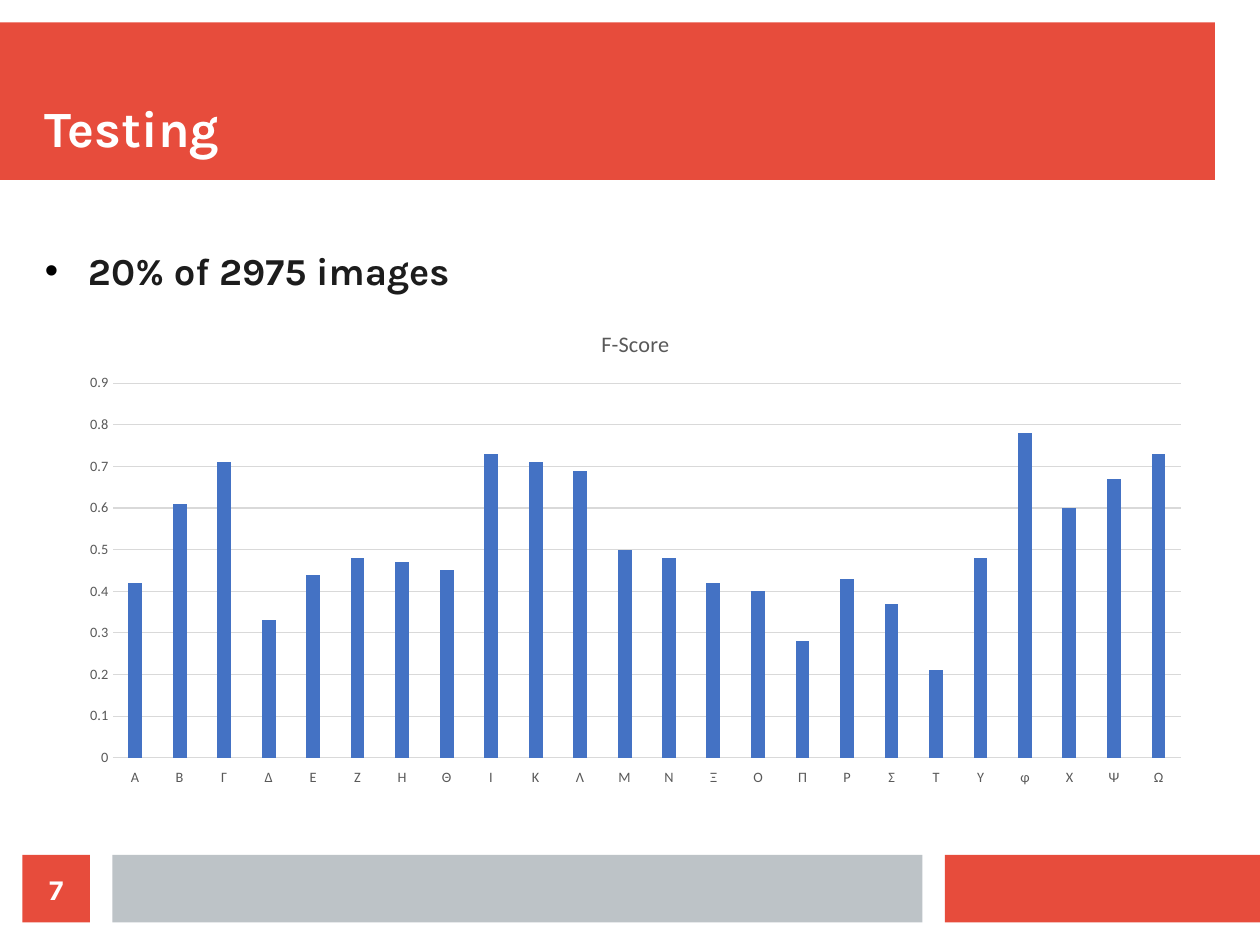
"""Build the Testing slide with its F-Score column chart."""
from dataclasses import dataclass

import lxml.etree
import pptx
import pptx.chart.data
import pptx.dml.color
import pptx.enum.chart
import pptx.enum.shapes
import pptx.enum.text
import pptx.oxml.ns
import pptx.util

EMU_PER_PX = 4000
RED = pptx.dml.color.RGBColor(0xE7, 0x4C, 0x3C)
SILVER = pptx.dml.color.RGBColor(0xBD, 0xC3, 0xC7)
WHITE = pptx.dml.color.RGBColor(0xFF, 0xFF, 0xFF)
BLACK = pptx.dml.color.RGBColor(0x00, 0x00, 0x00)
INK = pptx.dml.color.RGBColor(0x1C, 0x1C, 0x1C)
CHART_TEXT = pptx.dml.color.RGBColor(0x59, 0x59, 0x59)
GRID = pptx.dml.color.RGBColor(0xD9, 0xD9, 0xD9)
BLUE = pptx.dml.color.RGBColor(0x44, 0x72, 0xC4)

LETTERS = "A B Γ Δ Ε Ζ Η Θ Ι Κ Λ Μ Ν Ξ Ο Π Ρ Σ Τ Υ φ Χ Ψ Ω".split()
SCORES = [
    0.42, 0.61, 0.71, 0.33, 0.44, 0.48, 0.47, 0.45, 0.73, 0.71, 0.69, 0.5,
    0.48, 0.42, 0.4, 0.28, 0.43, 0.37, 0.21, 0.48, 0.78, 0.6, 0.67, 0.73,
]


@dataclass(frozen=True)
class Box:
    left: int
    top: int
    width: int
    height: int

    def emu(self) -> tuple[int, ...]:
        return tuple(px(n) for n in (self.left, self.top, self.width, self.height))


@dataclass(frozen=True)
class Band:
    box: Box
    color: pptx.dml.color.RGBColor
    label: str = ""


BANDS = [
    Band(Box(0, 45, 2430, 315), RED),
    Band(Box(1890, 1710, 630, 135), RED),
    Band(Box(225, 1710, 1620, 135), SILVER),
    Band(Box(45, 1710, 135, 135), RED, "7"),
]
TITLE_BOX = Box(90, 90, 2340, 225)
BODY_BOX = Box(90, 495, 2295, 1170)
CHART_BOX = Box(135, 617, 2272, 974)


def px(length: int) -> int:
    return pptx.util.Emu(length * EMU_PER_PX)


def style_font(font, size: int, color, name: str = "Karla", bold: bool = True) -> None:
    font.size = pptx.util.Pt(size)
    font.name = name
    font.bold = bold
    font.color.rgb = color


def fill_text(shape, text: str, size: int, color, alignment, anchor) -> None:
    frame = shape.text_frame
    frame.text = text
    frame.word_wrap = True
    frame.auto_size = pptx.enum.text.MSO_AUTO_SIZE.NONE
    frame.vertical_anchor = anchor
    frame.margin_left = frame.margin_right = 0
    frame.margin_top = frame.margin_bottom = 0
    paragraph = frame.paragraphs[0]
    paragraph.alignment = alignment
    style_font(paragraph.runs[0].font, size, color)


def draw_band(slide, band: Band) -> None:
    shape = slide.shapes.add_shape(
        pptx.enum.shapes.MSO_SHAPE.RECTANGLE, *band.box.emu()
    )
    shape.shadow.inherit = False
    shape.fill.solid()
    shape.fill.fore_color.rgb = band.color
    shape.line.fill.background()
    if band.label:
        fill_text(shape, band.label, 18, WHITE, pptx.enum.text.PP_ALIGN.CENTER,
                  pptx.enum.text.MSO_ANCHOR.MIDDLE)


def draw_title(slide) -> None:
    title = slide.shapes.title
    title.left, title.top, title.width, title.height = TITLE_BOX.emu()
    fill_text(title, "Testing", 32, WHITE, pptx.enum.text.PP_ALIGN.LEFT,
              pptx.enum.text.MSO_ANCHOR.BOTTOM)
    title.element.getparent().append(title.element)


def add_bullet(paragraph, indent: int, color) -> None:
    properties = paragraph._p.get_or_add_pPr()
    properties.set("marL", str(px(indent)))
    properties.set("indent", str(px(-indent)))
    qn = pptx.oxml.ns.qn
    bullet_color = lxml.etree.SubElement(properties, qn("a:buClr"))
    lxml.etree.SubElement(bullet_color, qn("a:srgbClr"), val=str(color))
    lxml.etree.SubElement(properties, qn("a:buFont"), typeface="Arial")
    lxml.etree.SubElement(properties, qn("a:buChar"), char="•")


def draw_body(slide) -> None:
    body = slide.shapes.add_textbox(*BODY_BOX.emu())
    fill_text(body, "20% of 2975 images", 24, INK, pptx.enum.text.PP_ALIGN.LEFT,
              pptx.enum.text.MSO_ANCHOR.TOP)
    paragraph = body.text_frame.paragraphs[0]
    paragraph.space_after = pptx.util.Pt(11.4)
    add_bullet(paragraph, 86, BLACK)


def style_line(line) -> None:
    line.color.rgb = GRID
    line.width = pptx.util.Pt(0.75)


def draw_chart(slide) -> None:
    data = pptx.chart.data.CategoryChartData()
    data.categories = LETTERS
    data.add_series("F-Score", SCORES)
    chart = slide.shapes.add_chart(
        pptx.enum.chart.XL_CHART_TYPE.COLUMN_CLUSTERED, *CHART_BOX.emu(), data
    ).chart
    style_font(chart.font, 10, BLACK, "Arial", False)
    chart.has_legend = False
    chart.has_title = True
    chart.chart_title.include_in_layout = False
    chart.chart_title.text_frame.text = "F-Score"
    title_run = chart.chart_title.text_frame.paragraphs[0].runs[0]
    style_font(title_run.font, 14, CHART_TEXT, "Calibri", False)

    plot = chart.plots[0]
    plot.gap_width = 219
    plot.overlap = -27
    plot.vary_by_categories = False
    series = plot.series[0]
    series.format.fill.solid()
    series.format.fill.fore_color.rgb = BLUE

    for axis in (chart.category_axis, chart.value_axis):
        style_font(axis.tick_labels.font, 9, CHART_TEXT, "Calibri", False)
        axis.major_tick_mark = pptx.enum.chart.XL_TICK_MARK.NONE
        axis.minor_tick_mark = pptx.enum.chart.XL_TICK_MARK.NONE
    chart.category_axis.tick_label_position = pptx.enum.chart.XL_TICK_LABEL_POSITION.LOW
    style_line(chart.category_axis.format.line)
    value_axis = chart.value_axis
    value_axis.minimum_scale = 0
    value_axis.maximum_scale = 0.9
    value_axis.major_unit = 0.1
    value_axis.format.line.fill.background()
    style_line(value_axis.major_gridlines.format.line)


def main() -> None:
    presentation = pptx.Presentation()
    presentation.slide_width = px(2520)
    presentation.slide_height = px(1890)
    slide = presentation.slides.add_slide(presentation.slide_layouts[5])
    for band in BANDS:
        draw_band(slide, band)
    draw_title(slide)
    draw_body(slide)
    draw_chart(slide)
    presentation.save("out.pptx")


if __name__ == "__main__":
    main()
